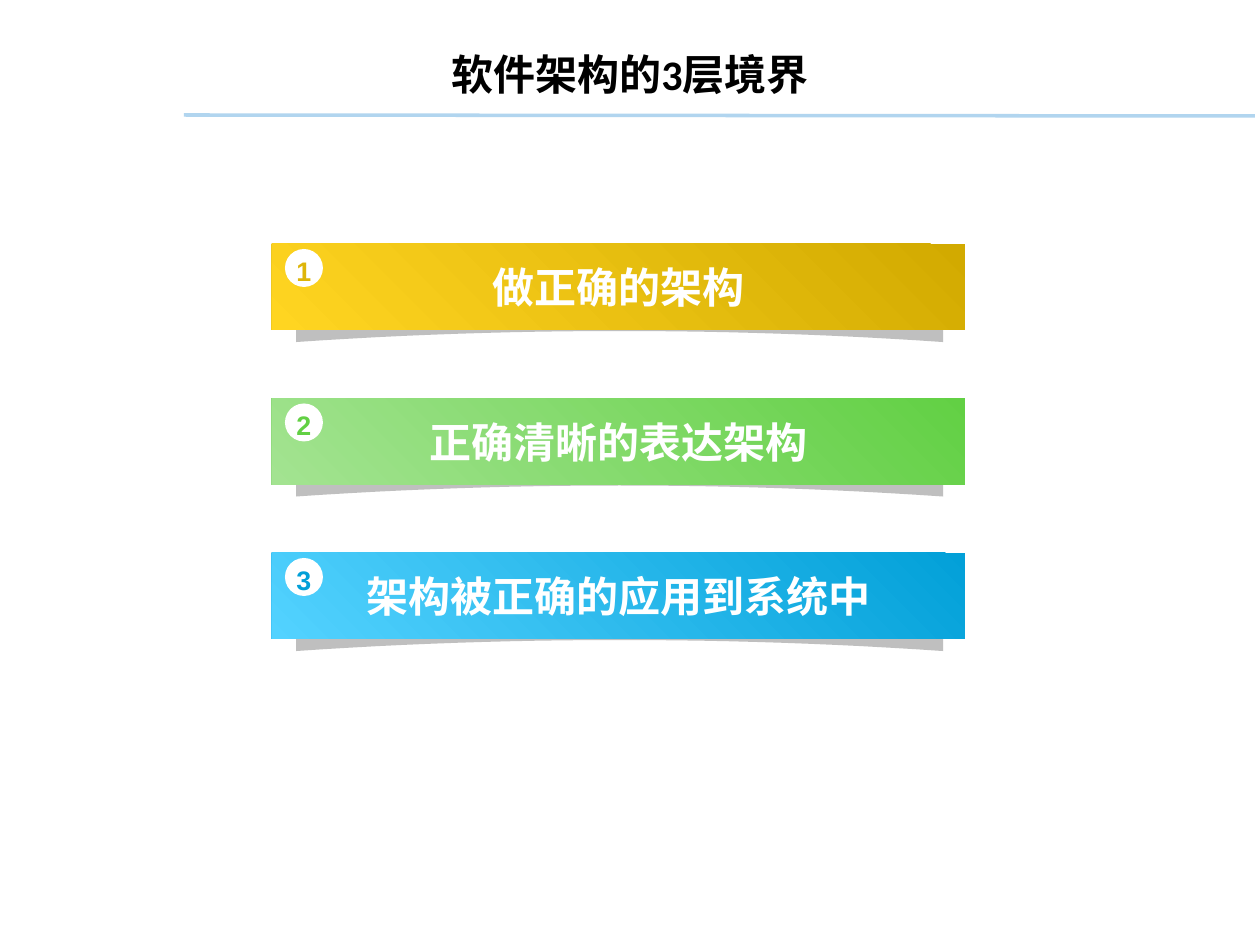
from lxml.etree import SubElement
from pptx import Presentation
from pptx.dml.color import RGBColor as RGB
from pptx.enum.shapes import MSO_CONNECTOR as Conn, MSO_SHAPE as Geo
from pptx.enum.text import MSO_ANCHOR as Anchor, MSO_AUTO_SIZE as Fit, PP_ALIGN as Align
from pptx.oxml.ns import qn
from pptx.util import Inches, Pt

HAN = "Noto Sans CJK SC"
COLORS = {"white": "FFFFFF", "black": "000000", "rule": "B1D5EF", "shade": "BFBFBF"}
# text, dark end, light end, number colour
LEVELS = [
    ("做正确的架构", "D2AA00", "FFD521", "DEB509"),
    ("正确清晰的表达架构", "62D044", "A3E391", "62D044"),
    ("架构被正确的应用到系统中", "02A0D8", "53D2FF", "02A0D8"),
]
BAR_X, BAR_W, BAR_H = 272, 693, 86
TOP, PITCH = 244, 154.5


def px(n):
    return round(n * Inches(1) / 126)


def box(x, y, w, h):
    return px(x), px(y), px(w), px(h)


def rgb(color):
    return RGB.from_string(COLORS.get(color, color))


def write(shape, text, size, color, font=HAN, wrap=True, inset=(13, 6, 13, 6)):
    """Set bold, centred text; inset is left, top, right, bottom."""
    frame = shape.text_frame
    frame.auto_size = Fit.NONE
    frame.word_wrap = wrap
    frame.vertical_anchor = Anchor.MIDDLE
    (frame.margin_left, frame.margin_top,
     frame.margin_right, frame.margin_bottom) = map(px, inset)
    para = frame.paragraphs[0]
    para.alignment = Align.CENTER
    run = para.add_run()
    run.text = text
    run.font.size = Pt(size)
    run.font.bold = True
    run.font.color.rgb = rgb(color)
    run.font.name = font
    SubElement(run.font._element, qn("a:ea"), typeface=HAN)


def paint(shape, color):
    shape.shadow.inherit = False
    shape.line.fill.background()
    shape.fill.solid()
    shape.fill.fore_color.rgb = rgb(color)


def blend(shape, dark, light):
    """Fade from dark at top right to light at bottom left."""
    shape.shadow.inherit = False
    shape.line.fill.background()
    shape.fill.gradient()
    shape.fill.gradient_angle = 225
    for stop, color, pos in zip(shape.fill.gradient_stops, (dark, light), (0, 1)):
        stop.color.rgb = rgb(color)
        stop.position = pos


def add_title(slide, text):
    title = slide.shapes.title
    title.left, title.top, title.width, title.height = box(63, 32, 1134, 83)
    write(title, text, 24, "black", font="Calibri")


def add_rule(slide):
    line = slide.shapes.add_connector(Conn.STRAIGHT, px(184), px(115), px(1255), px(116))
    line.line.color.rgb = rgb("rule")
    line.line.width = Pt(2)
    SubElement(line._element.spPr, qn("a:effectLst"))


def add_shade(slide, top):
    """Draw the curled shadow, whose lower edge is a parabola."""
    half, mid, steps = 323.5, BAR_X + BAR_W / 2 + 1, 12
    curve = [(mid + half * i / steps, top + 87 + 11 * (i / steps) ** 2)
             for i in range(steps, -steps - 1, -1)]
    upper = [(mid - half, top + 67), (mid, top + 57), (mid + half, top + 67)]
    points = [(px(x), px(y)) for x, y in curve + upper]
    path = slide.shapes.build_freeform(*points[0])
    path.add_line_segments(points[1:], close=True)
    paint(path.convert_to_shape(), "shade")


def add_level(slide, num, text, dark, light, tint):
    top = TOP + (num - 1) * PITCH
    add_shade(slide, top)
    bar = slide.shapes.add_shape(Geo.RECTANGLE, *box(BAR_X, top, BAR_W, BAR_H))
    blend(bar, dark, light)
    write(bar, text, 24, "white", wrap=False)
    dot = slide.shapes.add_shape(Geo.OVAL, *box(BAR_X + 13, top + 5, 38, 38))
    paint(dot, "white")
    write(dot, str(num), 15.3, tint, font="Arial", inset=(0, 5, 0, 0))


def main():
    deck = Presentation()
    deck.slide_width, deck.slide_height = px(1260), px(945)
    slide = deck.slides.add_slide(deck.slide_layouts[5])
    add_rule(slide)
    for num, level in enumerate(LEVELS, 1):
        add_level(slide, num, *level)
    add_title(slide, "软件架构的3层境界")
    deck.save("out.pptx")


if __name__ == "__main__":
    main()
